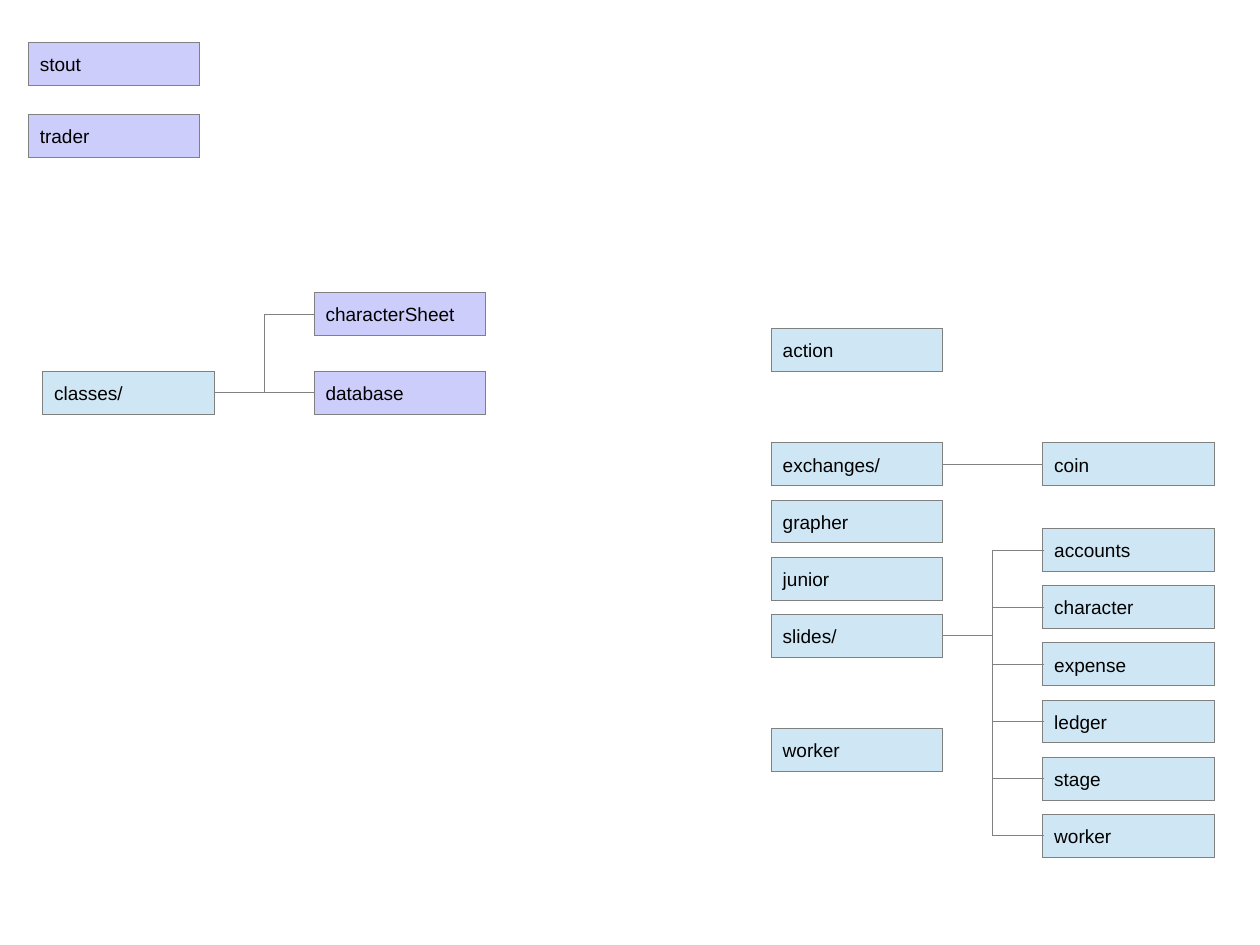
from lxml import etree
from pptx import Presentation
from pptx.dml.color import RGBColor
from pptx.enum.shapes import MSO_CONNECTOR as Connector, MSO_SHAPE as Shape
from pptx.enum.text import MSO_ANCHOR as Anchor, PP_ALIGN as Align
from pptx.oxml.ns import qn
from pptx.util import Mm, Pt

PX = 9525  # EMU per px, 96 px to the inch
SLIDE_WIDTH, SLIDE_HEIGHT = Mm(280), Mm(210)
BOX_WIDTH, BOX_HEIGHT = 144, 36
ROW_PITCH = 48
HAIRLINE = Pt(0.01)

BLUE = RGBColor(0xCF, 0xE7, 0xF5)
LILAC = RGBColor(0xCD, 0xCD, 0xFB)
GRAY = RGBColor(0x80, 0x80, 0x80)
BLACK = RGBColor(0, 0, 0)

# left, first top, pitch, fill, names
COLUMNS = [
    (24, 36, 60, LILAC, ["stout", "trader"]),
    (36, 312, ROW_PITCH, BLUE, ["classes/"]),
    (264, 246, 66, LILAC, ["characterSheet", "database"]),
    (648, 276, ROW_PITCH, BLUE, ["action"]),
    (648, 372, ROW_PITCH, BLUE, ["exchanges/", "grapher", "junior", "slides/"]),
    (648, 612, ROW_PITCH, BLUE, ["worker"]),
    (876, 372, ROW_PITCH, BLUE, ["coin"]),
    (876, 444, ROW_PITCH, BLUE,
     ["accounts", "character", "expense", "ledger", "stage", "worker"]),
]

# folder name, index of the column that holds its contents
FOLDERS = [("classes/", 2), ("exchanges/", 6), ("slides/", 7)]


def style_line(line):
    line.color.rgb = GRAY
    line.width = HAIRLINE


def add_box(slide, name, left, top, fill):
    box = slide.shapes.add_shape(
        Shape.RECTANGLE, left * PX, top * PX, BOX_WIDTH * PX, BOX_HEIGHT * PX)
    box.shadow.inherit = False
    box.fill.solid()
    box.fill.fore_color.rgb = fill
    style_line(box.line)
    frame = box.text_frame
    frame.text = name
    frame.vertical_anchor = Anchor.MIDDLE
    para = frame.paragraphs[0]
    para.alignment = Align.LEFT
    font = para.runs[0].font
    font.name, font.size = "Arial", Pt(12)
    font.color.rgb = BLACK
    return box


def link(slide, folder, item):
    """Join the right side of a folder to the left side of an item."""
    kind = Connector.STRAIGHT if folder.top == item.top else Connector.ELBOW
    connector = slide.shapes.add_connector(kind, 0, 0, 0, 0)
    connector.begin_connect(folder, 3)
    connector.end_connect(item, 1)
    style_line(connector.line)
    etree.SubElement(connector._element.spPr, qn("a:effectLst"))


def main():
    deck = Presentation()
    deck.slide_width, deck.slide_height = SLIDE_WIDTH, SLIDE_HEIGHT
    slide = deck.slides.add_slide(deck.slide_layouts[6])

    columns = [
        [add_box(slide, name, left, top + row * pitch, fill)
         for row, name in enumerate(names)]
        for left, top, pitch, fill, names in COLUMNS
    ]
    boxes = {box.text_frame.text: box for column in columns for box in column}
    for folder, contents in FOLDERS:
        for item in columns[contents]:
            link(slide, boxes[folder], item)

    deck.save("out.pptx")


if __name__ == "__main__":
    main()
